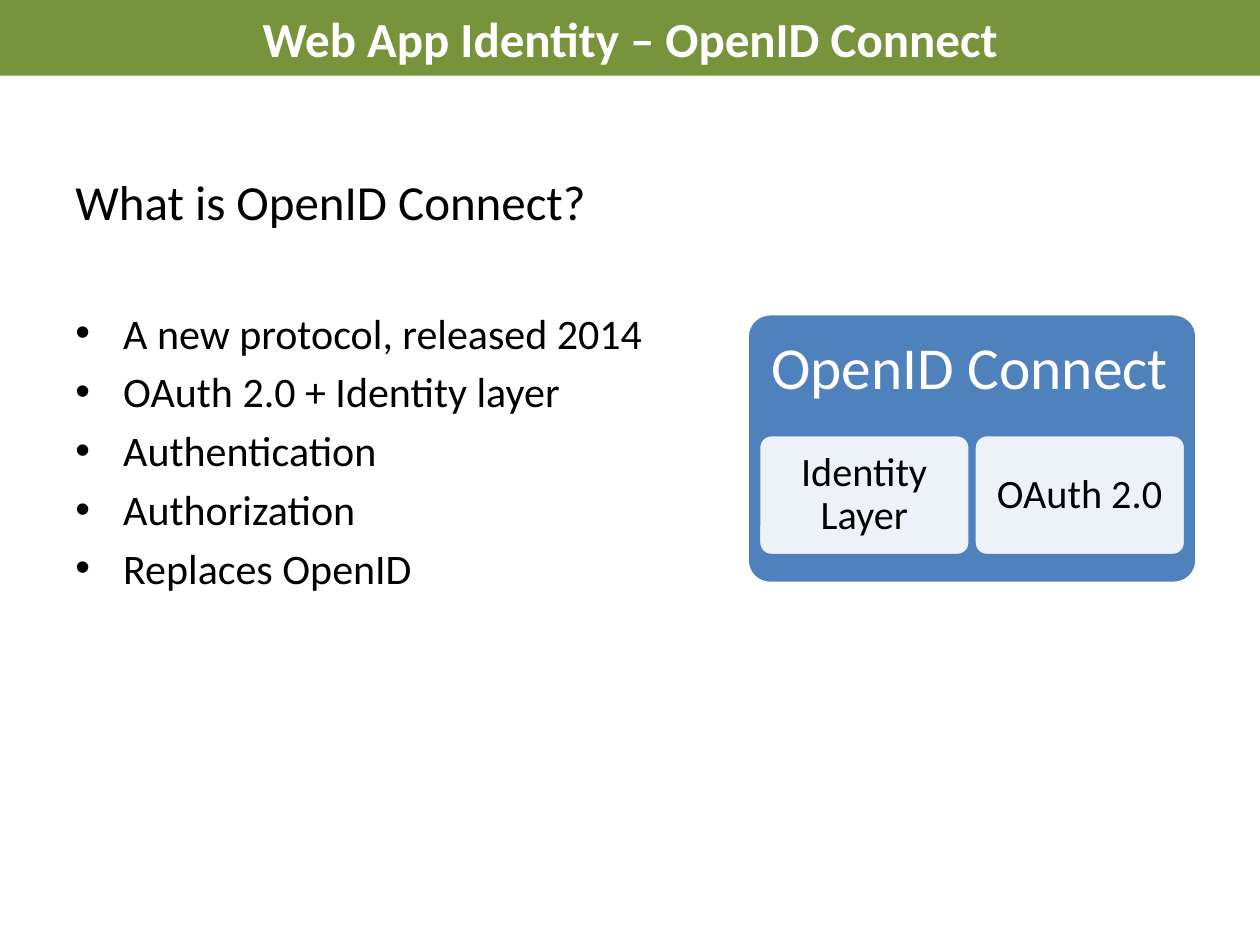
from dataclasses import dataclass

from lxml.etree import SubElement
from pptx import Presentation
from pptx.dml.color import RGBColor
from pptx.enum.shapes import MSO_SHAPE as Preset
from pptx.enum.text import MSO_ANCHOR as Anchor, PP_ALIGN as Align
from pptx.oxml.ns import qn
from pptx.util import Inches, Pt

FONT = "Calibri"
WHITE, BLACK, BLUE, GREEN = "FFFFFF", "000000", "4F81BD", "77933C"


@dataclass
class Block:
    text: str
    left: float
    top: float
    width: float
    height: float
    corner: float
    fill: str
    opacity: int
    line: str
    size: int
    color: str
    margin: float
    align: Align
    anchor: Anchor


def color_of(value: str) -> RGBColor:
    return RGBColor.from_string(value)


def add_run(paragraph, text: str, size: float, color: str, bold: bool = False) -> None:
    run = paragraph.add_run()
    run.text = text
    run.font.name = FONT
    run.font.size = Pt(size)
    run.font.bold = bold
    run.font.color.rgb = color_of(color)


def place(shape, left: float, top: float, width: float, height: float) -> None:
    shape.left, shape.top = Inches(left), Inches(top)
    shape.width, shape.height = Inches(width), Inches(height)


def add_bullet(paragraph, indent: float) -> None:
    properties = paragraph._p.get_or_add_pPr()
    properties.set("marL", str(Inches(indent)))
    properties.set("indent", str(-Inches(indent)))
    SubElement(properties, qn("a:buFont")).set("typeface", "Arial")
    SubElement(properties, qn("a:buChar")).set("char", "•")


def add_block(slide, block: Block) -> None:
    shape = slide.shapes.add_shape(
        Preset.ROUNDED_RECTANGLE, Inches(block.left), Inches(block.top),
        Inches(block.width), Inches(block.height))
    shape.shadow.inherit = False
    shape.adjustments[0] = block.corner
    shape.fill.solid()
    shape.fill.fore_color.rgb = color_of(block.fill)
    if block.opacity < 100:
        fill_color = shape._element.spPr.find(qn("a:solidFill")).find(qn("a:srgbClr"))
        SubElement(fill_color, qn("a:alpha")).set("val", str(block.opacity * 1000))
    shape.line.color.rgb = color_of(block.line)
    shape.line.width = Pt(2)
    frame = shape.text_frame
    frame.word_wrap = True
    frame.vertical_anchor = block.anchor
    frame.margin_left = frame.margin_right = Inches(block.margin)
    frame.margin_top = frame.margin_bottom = Inches(block.margin)
    paragraph = frame.paragraphs[0]
    paragraph.alignment = block.align
    paragraph.line_spacing = 0.9
    add_run(paragraph, block.text, block.size, block.color)


def add_title(slide, text: str) -> None:
    title = slide.shapes.title
    place(title, 0, 0, 10, 0.6)
    title.fill.solid()
    title.fill.fore_color.rgb = color_of(GREEN)
    title.text_frame.vertical_anchor = Anchor.MIDDLE
    paragraph = title.text_frame.paragraphs[0]
    paragraph.alignment = Align.CENTER
    add_run(paragraph, text, 28, WHITE, bold=True)


def add_body(slide, heading: str, bullets: list[str]) -> None:
    body = slide.shapes.add_textbox(Inches(0.5), Inches(1.31), Inches(9), Inches(5.39))
    frame = body.text_frame
    frame.word_wrap = True
    paragraph = frame.paragraphs[0]
    paragraph.space_before = Pt(5.6)
    add_run(paragraph, heading, 28, BLACK)
    for index, text in enumerate(bullets):
        paragraph = frame.add_paragraph()
        paragraph.space_before = Pt(4.8 if index else 44)
        add_bullet(paragraph, 0.38)
        add_run(paragraph, text, 24, BLACK)


presentation = Presentation()
presentation.slide_width, presentation.slide_height = Inches(10), Inches(7.5)
slide = presentation.slides.add_slide(presentation.slide_layouts[5])

add_title(slide, "Web App Identity – OpenID Connect")
add_body(slide, "What is OpenID Connect?", [
    "A new protocol, released 2014",
    "OAuth 2.0 + Identity layer",
    "Authentication",
    "Authorization",
    "Replaces OpenID",
])

add_block(slide, Block("OpenID Connect", 5.93, 2.49, 3.57, 2.14, 0.085, BLUE, 100,
                       WHITE, 34, WHITE, 0.14, Align.LEFT, Anchor.TOP))
for column, layer in enumerate(["Identity Layer", "OAuth 2.0"]):
    add_block(slide, Block(layer, 6.02 + column * 1.71, 3.45, 1.68, 0.96, 0.105, WHITE, 90,
                           BLUE, 23, BLACK, 0.1, Align.CENTER, Anchor.MIDDLE))

presentation.save("out.pptx")
